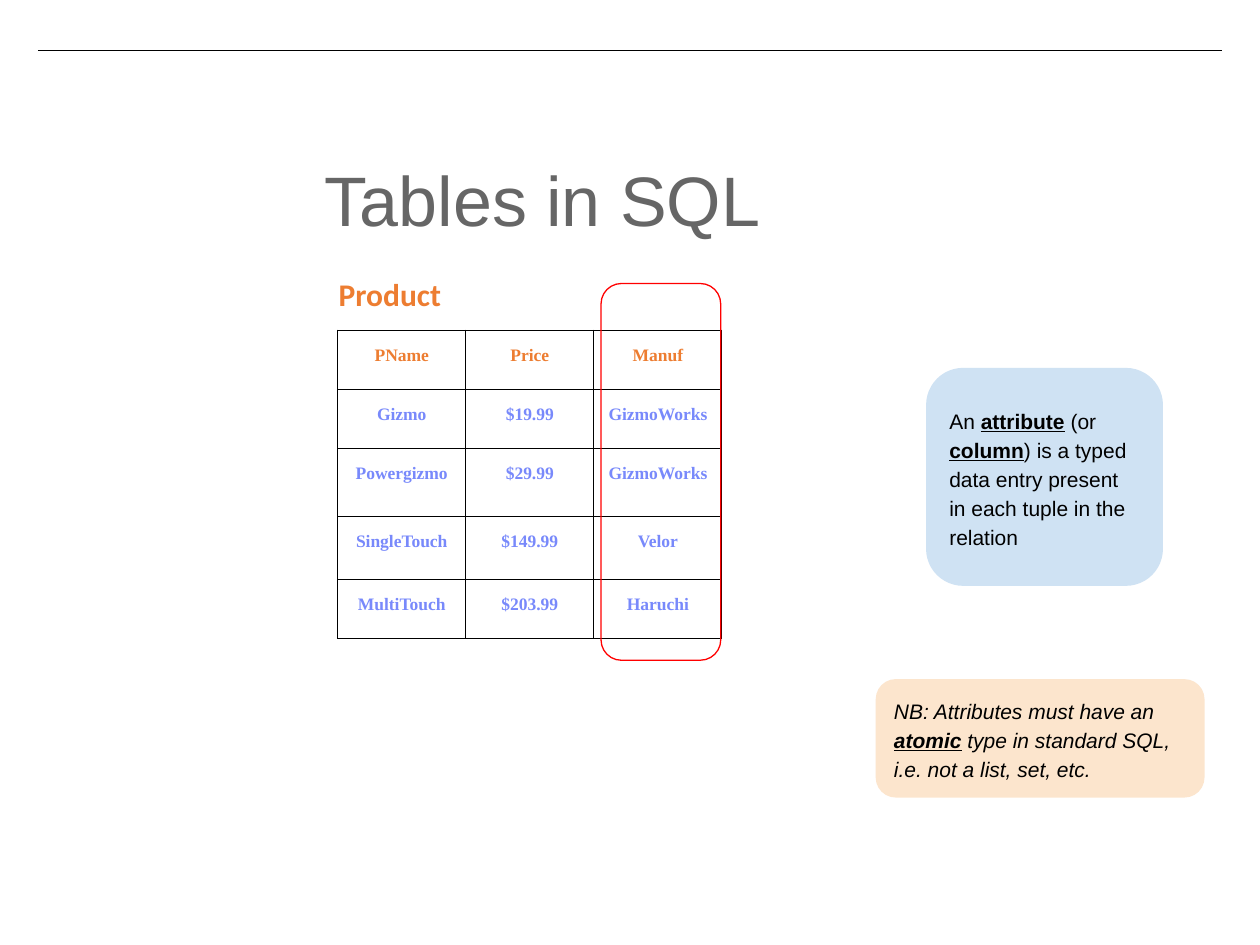
import dataclasses

import lxml.etree
import pptx
import pptx.dml.color
import pptx.enum.shapes
import pptx.enum.text
import pptx.oxml.ns
import pptx.util

Inches = pptx.util.Inches
Pt = pptx.util.Pt
qn = pptx.oxml.ns.qn
Anchor = pptx.enum.text.MSO_ANCHOR
Align = pptx.enum.text.PP_ALIGN


@dataclasses.dataclass(frozen=True)
class Theme:
    black: str = "000000"
    grey: str = "666666"
    orange: str = "ED7D31"
    violet: str = "7889FB"
    red: str = "FF0000"
    blue: str = "CFE2F3"
    peach: str = "FCE5CD"
    sans: str = "Arial"
    label: str = "Calibri"
    serif: str = "Times New Roman"
    title: int = 40
    head: int = 18
    body: int = 12
    cell: int = 10
    line: float = 0.75
    lead: float = 1.15
    pad: float = 0.1


THEME = Theme()


def rgb(code):
    return pptx.dml.color.RGBColor.from_string(code)


def write(frame, runs, face, size, color, anchor=Anchor.MIDDLE, lead=THEME.lead):
    frame.word_wrap = True
    frame.vertical_anchor = anchor
    frame.margin_left = frame.margin_right = Inches(THEME.pad)
    frame.margin_top = frame.margin_bottom = Inches(THEME.pad)
    para = frame.paragraphs[0]
    para.alignment = Align.LEFT
    para.line_spacing = lead
    for text, style in runs:
        add_run(para, text, style, face, size, color)


def add_run(para, text, style, face, size, color):
    run = para.add_run()
    run.text = text
    font = run.font
    font.name = face
    font.size = Pt(size)
    font.color.rgb = rgb(color)
    font.bold = "b" in style
    font.italic = "i" in style
    font.underline = "u" in style


def add_text(slide, box, runs, *look, **more):
    shape = slide.shapes.add_textbox(*map(Inches, box))
    write(shape.text_frame, runs, *look, **more)


def add_round(slide, box, fill=None, line=None):
    kind = pptx.enum.shapes.MSO_SHAPE.ROUNDED_RECTANGLE
    shape = slide.shapes.add_shape(kind, *map(Inches, box))
    shape.adjustments[0] = 0.17
    shape.shadow.inherit = False
    if fill:
        shape.fill.solid()
        shape.fill.fore_color.rgb = rgb(fill)
    else:
        shape.fill.background()
    if line:
        shape.line.color.rgb = rgb(line)
        shape.line.width = Pt(THEME.line)
    else:
        shape.line.fill.background()
    return shape


def add_note(slide, box, fill, runs):
    shape = add_round(slide, box, fill)
    write(shape.text_frame, runs, THEME.sans, THEME.body, THEME.black)


def add_rule(slide, left, right, top):
    kind = pptx.enum.shapes.MSO_CONNECTOR.STRAIGHT
    rule = slide.shapes.add_connector(
        kind, Inches(left), Inches(top), Inches(right), Inches(top))
    rule.line.color.rgb = rgb(THEME.black)
    rule.line.width = Pt(THEME.line)
    lxml.etree.SubElement(rule._element.spPr, qn("a:effectLst"))


def add_edges(cell):
    props = cell._tc.get_or_add_tcPr()
    for side in ("lnL", "lnR", "lnT", "lnB"):
        edge = lxml.etree.SubElement(
            props, qn("a:" + side), w=str(Pt(THEME.line)))
        fill = lxml.etree.SubElement(edge, qn("a:solidFill"))
        lxml.etree.SubElement(fill, qn("a:srgbClr"), val=THEME.black)


def fill_cell(cell, text, color):
    add_edges(cell)
    cell.fill.background()
    cell.vertical_anchor = Anchor.TOP
    cell.margin_left = cell.margin_right = Inches(THEME.pad)
    cell.margin_top = cell.margin_bottom = Inches(THEME.pad)
    para = cell.text_frame.paragraphs[0]
    para.alignment = Align.CENTER
    para.line_spacing = THEME.lead
    add_run(para, text, "b", THEME.serif, THEME.cell, color)


def add_grid(slide, left, top, width, highs, rows):
    count = len(rows[0])
    frame = slide.shapes.add_table(
        len(rows), count, Inches(left), Inches(top),
        Inches(width), Inches(sum(highs)))
    table = frame.table
    table.first_row = table.horz_banding = False
    for col in table.columns:
        col.width = Inches(width / count)
    for i, (high, row) in enumerate(zip(highs, rows)):
        table.rows[i].height = Inches(high)
        color = THEME.violet if i else THEME.orange
        for j, text in enumerate(row):
            fill_cell(table.cell(i, j), text, color)


def main():
    deck = pptx.Presentation()
    deck.slide_width = Inches(10)
    deck.slide_height = Inches(7.5)
    slide = deck.slides.add_slide(deck.slide_layouts[6])

    add_rule(slide, 0.3, 9.7, 0.4)
    add_text(slide, (2.48, 1.14, 6.09, 0.75), [("Tables in SQL", "")],
             THEME.sans, THEME.title, THEME.grey, anchor=Anchor.TOP, lead=1.0)
    add_text(slide, (2.59, 2, 1.6, 0.62), [("Product", "b")],
             THEME.label, THEME.head, THEME.orange)
    add_note(slide, (7.35, 2.92, 1.88, 1.73), THEME.blue, [
        ("An ", ""),
        ("attribute", "bu"),
        (" (or ", ""),
        ("column", "bu"),
        (") is a typed data entry present in each tuple in the relation", ""),
    ])
    add_note(slide, (6.95, 5.39, 2.61, 0.94), THEME.peach, [
        ("NB: Attributes must have an ", "i"),
        ("atomic", "biu"),
        (" type in standard SQL, i.e. not a list, set, etc.", "i"),
    ])
    add_grid(slide, 2.68, 2.62, 3.05, (0.47, 0.47, 0.54, 0.5, 0.47), [
        ("PName", "Price", "Manuf"),
        ("Gizmo", "$19.99", "GizmoWorks"),
        ("Powergizmo", "$29.99", "GizmoWorks"),
        ("SingleTouch", "$149.99", "Velor"),
        ("MultiTouch", "$203.99", "Haruchi"),
    ])
    add_round(slide, (4.77, 2.25, 0.95, 2.99), line=THEME.red)

    deck.save("out.pptx")


if __name__ == "__main__":
    main()
